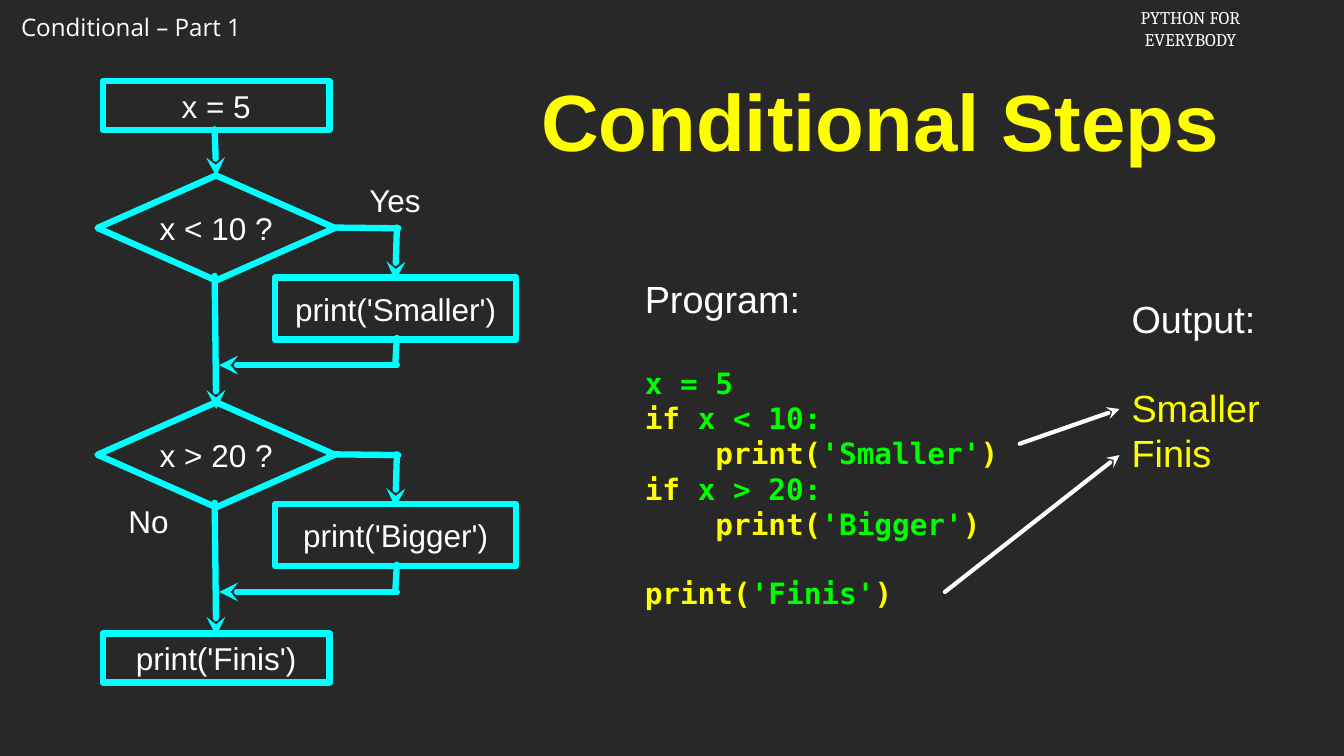
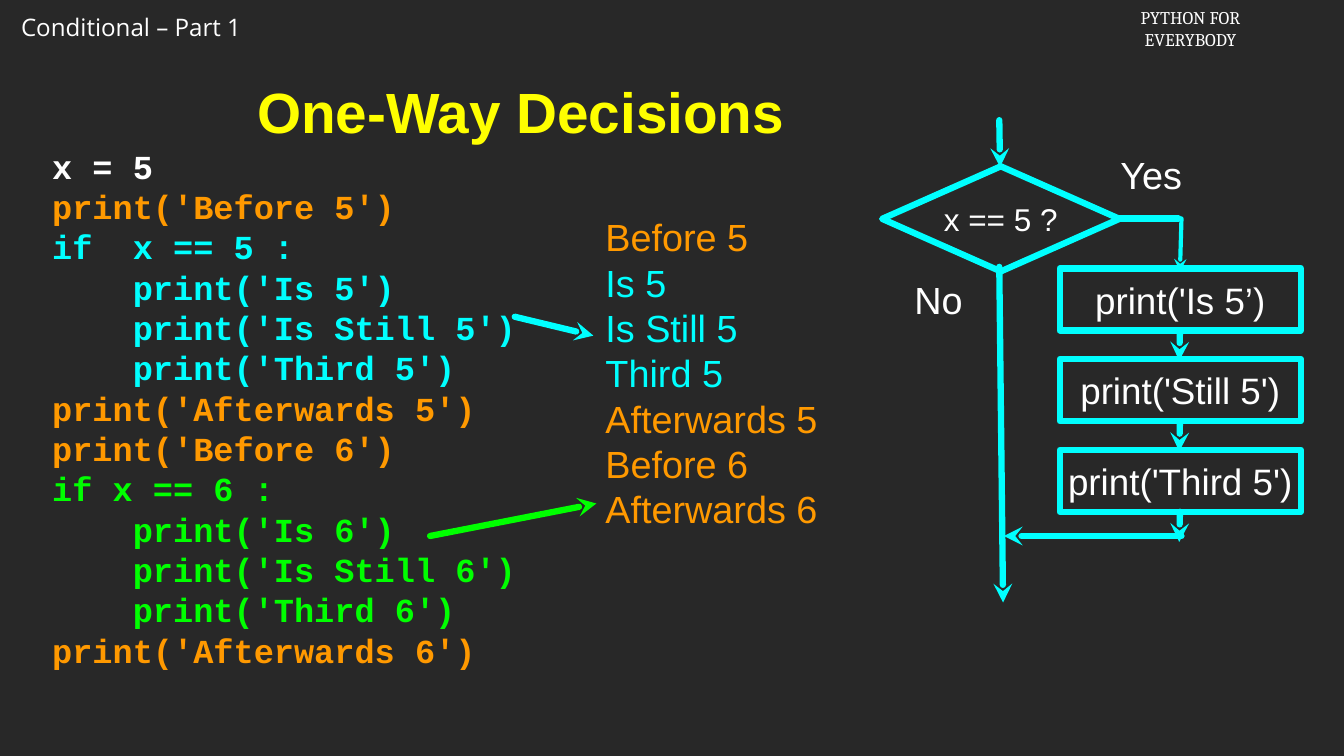
from dataclasses import dataclass

from lxml.etree import SubElement
from pptx import Presentation
from pptx.dml.color import RGBColor
from pptx.enum.shapes import MSO_CONNECTOR as Connector, MSO_SHAPE as Preset
from pptx.enum.text import MSO_ANCHOR as Anchor, MSO_AUTO_SIZE as AutoSize, PP_ALIGN as Align
from pptx.oxml.ns import qn
from pptx.util import Inches, Pt

BACKGROUND = "282828"
WHITE, YELLOW, CYAN, GREEN, ORANGE = "FFFFFF", "FFFF00", "00FFFF", "00FF00", "FF9900"


@dataclass
class Style:
    font: str
    size: int
    bold: bool = False


LABEL, STEP, BODY = Style("Arial", 30), Style("Arial", 35), Style("Arial", 36)
CODE = Style("DejaVu Sans Mono", 28, True)
LISTING = Style("Courier New", 32, True)

HEADERS = [
    ((0.18, 0.12, 3.28, 0.49), ["Conditional – Part 1"], Style("Open Sans", 23), Align.LEFT),
    ((14.88, 0.04, 1.74, 0.67), ["PYTHON FOR", "EVERYBODY"], Style("Cambria", 17), Align.CENTER),
]

BODY_GAP, CODE_GAP = 41.4, 32.6
PROGRAM = [
    ([("Program:", WHITE)], BODY, 0),
    ([("x = 5", GREEN)], CODE, BODY_GAP),
    ([("if ", YELLOW), ("x < 10:", GREEN)], CODE, 0),
    ([("    print(", YELLOW), ("'Smaller'", GREEN), (")", YELLOW)], CODE, 0),
    ([("if ", YELLOW), ("x > 20:", GREEN)], CODE, 0),
    ([("    print(", YELLOW), ("'Bigger'", GREEN), (")", YELLOW)], CODE, 0),
    ([("print(", YELLOW), ("'Finis'", GREEN), (")", YELLOW)], CODE, CODE_GAP),
]
OUTPUT = [
    ([("Output:", WHITE)], BODY, 0),
    ([("Smaller", YELLOW)], BODY, BODY_GAP),
    ([("Finis", YELLOW)], BODY, 0),
]
OUTPUT_ARROWS = [((13.49, 5.87), (14.81, 5.41)), ((12.5, 7.83), (14.81, 6.02))]
DECISIONS = [("x < 10 ?", "print('Smaller')"), ("x > 20 ?", "print('Bigger')")]
DECISION_TOP, DECISION_PITCH = 2.32, 3
ENDPOINTS = [("x = 5", 1.07), ("print('Finis')", 8.38)]
BRANCH_LABELS = [("Yes", 4.83, 2.31), ("No", 1.57, 6.55)]

ONE_WAY_CODE = [
    ("x = 5", WHITE),
    ("print('Before 5')", ORANGE),
    ("if  x == 5 :", CYAN),
    ("    print('Is 5')", CYAN),
    ("    print('Is Still 5')", CYAN),
    ("    print('Third 5')", CYAN),
    ("print('Afterwards 5')", ORANGE),
    ("print('Before 6')", ORANGE),
    ("if x == 6 :", GREEN),
    ("    print('Is 6')", GREEN),
    ("    print('Is Still 6')", GREEN),
    ("    print('Third 6')", GREEN),
    ("print('Afterwards 6')", ORANGE),
]
ONE_WAY_OUTPUT = [
    ("Before 5", ORANGE),
    ("Is 5", CYAN),
    ("Is Still 5", CYAN),
    ("Third 5", CYAN),
    ("Afterwards 5", ORANGE),
    ("Before 6", ORANGE),
    ("Afterwards 6", ORANGE),
]
ONE_WAY_STEPS = ["print('Is 5’)", "print('Still 5')", "print('Third 5')"]
STEP_TOP, STEP_PITCH = 3.55, 1.2
ONE_WAY_FLOW = [
    ((6.81, 4.19), (7.85, 4.44), CYAN, 6, True),
    ((5.69, 7.09), (7.89, 6.66), GREEN, 6, True),
    ((13.22, 1.59), (13.23, 2.21), CYAN, 6, True),
    ((13.22, 3.53), (13.27, 7.97), CYAN, 6, True),
    ((14.8, 2.89), (15.59, 2.89), CYAN, 6, False),
    ((15.63, 2.89), (15.61, 3.59), CYAN, 4, True),
    ((15.63, 7.09), (13.28, 7.09), CYAN, 6, True),
]

BOX_SIZE, DIAMOND_SIZE = (3.19, 0.82), (3.14, 1.39)


def color(value):
    return RGBColor.from_string(value)


def inches(values):
    return [Inches(value) for value in values]


def format_runs(paragraph, style, value=None):
    for run in paragraph.runs:
        run.font.name, run.font.size, run.font.bold = style.font, Pt(style.size), style.bold
        if value:
            run.font.color.rgb = color(value)


def set_frame(frame, inset, wrap=True):
    frame.auto_size = AutoSize.NONE
    frame.word_wrap = wrap
    frame.vertical_anchor = Anchor.MIDDLE
    frame.margin_left = frame.margin_right = Inches(inset)
    frame.margin_top = frame.margin_bottom = Inches(inset)


def add_header(slide, box, lines, style, align):
    frame = slide.shapes.add_textbox(*inches(box)).text_frame
    frame.word_wrap = False
    frame.text = "\n".join(lines)
    for paragraph in frame.paragraphs:
        paragraph.alignment = align
        format_runs(paragraph, style, WHITE)


def start_slide(presentation, title, box, size):
    slide = presentation.slides.add_slide(presentation.slide_layouts[5])
    for header in HEADERS:
        add_header(slide, *header)
    shape = slide.shapes.title
    shape.left, shape.top, shape.width, shape.height = inches(box)
    set_frame(shape.text_frame, 0.04)
    shape.text_frame.text = title
    paragraph = shape.text_frame.paragraphs[0]
    paragraph.alignment = Align.CENTER
    format_runs(paragraph, Style("Arial", size, True), YELLOW)
    return slide


def add_lines(slide, box, lines):
    frame = slide.shapes.add_textbox(*inches(box)).text_frame
    set_frame(frame, 0)
    for index, (parts, style, gap) in enumerate(lines):
        paragraph = frame.add_paragraph() if index else frame.paragraphs[0]
        if gap:
            paragraph.space_before = Pt(gap)
        for text, value in parts:
            run = paragraph.add_run()
            run.text = text
            run.font.color.rgb = color(value)
        format_runs(paragraph, style)


def set_label(shape, text, style):
    frame = shape.text_frame
    set_frame(frame, 0)
    frame.text = text
    frame.paragraphs[0].alignment = Align.CENTER
    format_runs(frame.paragraphs[0], style, WHITE)


def add_label(slide, box, text, style):
    set_label(slide.shapes.add_textbox(*inches(box)), text, style)


def add_node(slide, preset, left, top, size, text, style=LABEL):
    shape = slide.shapes.add_shape(preset, *inches((left, top, *size)))
    shape.shadow.inherit = False
    shape.fill.background()
    shape.line.color.rgb = color(CYAN)
    shape.line.width = Pt(6)
    set_label(shape, text, style)


def add_line(slide, start, end, value=CYAN, width=6, arrow=True):
    line = slide.shapes.add_connector(Connector.STRAIGHT, *inches((*start, *end)))
    line.line.color.rgb = color(value)
    line.line.width = Pt(width)
    outline = line.line._get_or_add_ln()
    outline.set("cap", "rnd")
    SubElement(outline, qn("a:round"))
    if arrow:
        SubElement(outline, qn("a:tailEnd"), type="stealth")
    SubElement(line._element.spPr, qn("a:effectLst"))


def add_decision(slide, top, question, action):
    add_node(slide, Preset.DIAMOND, 1.29, top, DIAMOND_SIZE, question)
    add_node(slide, Preset.RECTANGLE, 3.64, top + 1.35, BOX_SIZE, action)
    add_line(slide, (2.84, top + 1.33), (2.86, top + 3.09))
    add_line(slide, (4.42, top + 0.69), (5.27, top + 0.7), arrow=False)
    add_line(slide, (5.25, top + 0.69), (5.23, top + 1.39))
    add_line(slide, (5.25, top + 2.15), (5.23, top + 2.49), arrow=False)
    add_line(slide, (5.25, top + 2.51), (2.9, top + 2.51))


def build_conditional_steps(presentation):
    slide = start_slide(presentation, "Conditional Steps", (6.4, 0.84, 10.49, 1.49), 76)
    add_lines(slide, (14.97, 3.9, 1.73, 2.39), OUTPUT)
    add_lines(slide, (8.53, 3.14, 4.96, 5.45), PROGRAM)
    for text, top in ENDPOINTS:
        add_node(slide, Preset.RECTANGLE, 1.36, top, (3, 0.65), text)
    add_line(slide, (2.84, 1.71), (2.86, 2.33))
    for index, decision in enumerate(DECISIONS):
        add_decision(slide, DECISION_TOP + index * DECISION_PITCH, *decision)
    for start, end in OUTPUT_ARROWS:
        add_line(slide, start, end, WHITE, 4)
    for text, left, top in BRANCH_LABELS:
        add_label(slide, (left, top, 0.79, 0.68), text, LABEL)


def build_one_way_decisions(presentation):
    slide = start_slide(presentation, "One-Way Decisions", (1.26, 0.88, 11.26, 1.17), 54)
    add_lines(slide, (0.69, 1.84, 6.25, 7.11), [([line], LISTING, 0) for line in ONE_WAY_CODE])
    add_lines(slide, (8.01, 2.78, 3.09, 4.3), [([line], BODY, 0) for line in ONE_WAY_OUTPUT])
    add_node(slide, Preset.DIAMOND, 11.67, 2.2, DIAMOND_SIZE, "x == 5 ?")
    for flow in ONE_WAY_FLOW:
        add_line(slide, *flow)
    for index, text in enumerate(ONE_WAY_STEPS):
        top = STEP_TOP + index * STEP_PITCH
        add_node(slide, Preset.RECTANGLE, 14.02, top, BOX_SIZE, text, STEP)
        add_line(slide, (15.61, top + 0.82), (15.6, top + 1.22))
    add_label(slide, (14.62, 1.97, 1.22, 0.68), "Yes", BODY)
    add_label(slide, (12.02, 3.62, 0.79, 0.68), "No", BODY)


def main():
    presentation = Presentation()
    presentation.slide_width, presentation.slide_height = Inches(17.78), Inches(10)
    fill = presentation.slide_master.background.fill
    fill.solid()
    fill.fore_color.rgb = color(BACKGROUND)
    build_conditional_steps(presentation)
    build_one_way_decisions(presentation)
    presentation.save("out.pptx")


if __name__ == "__main__":
    main()
